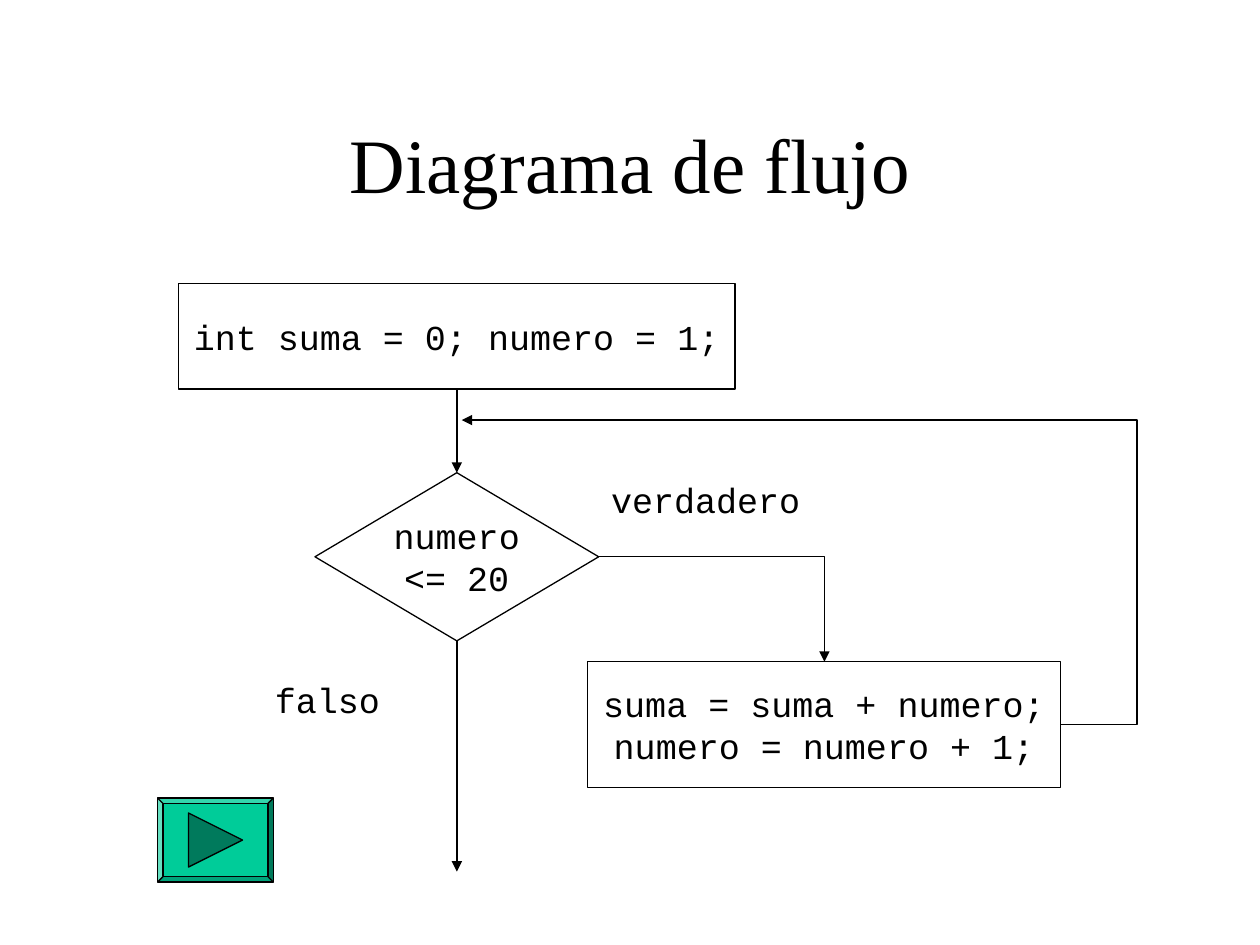
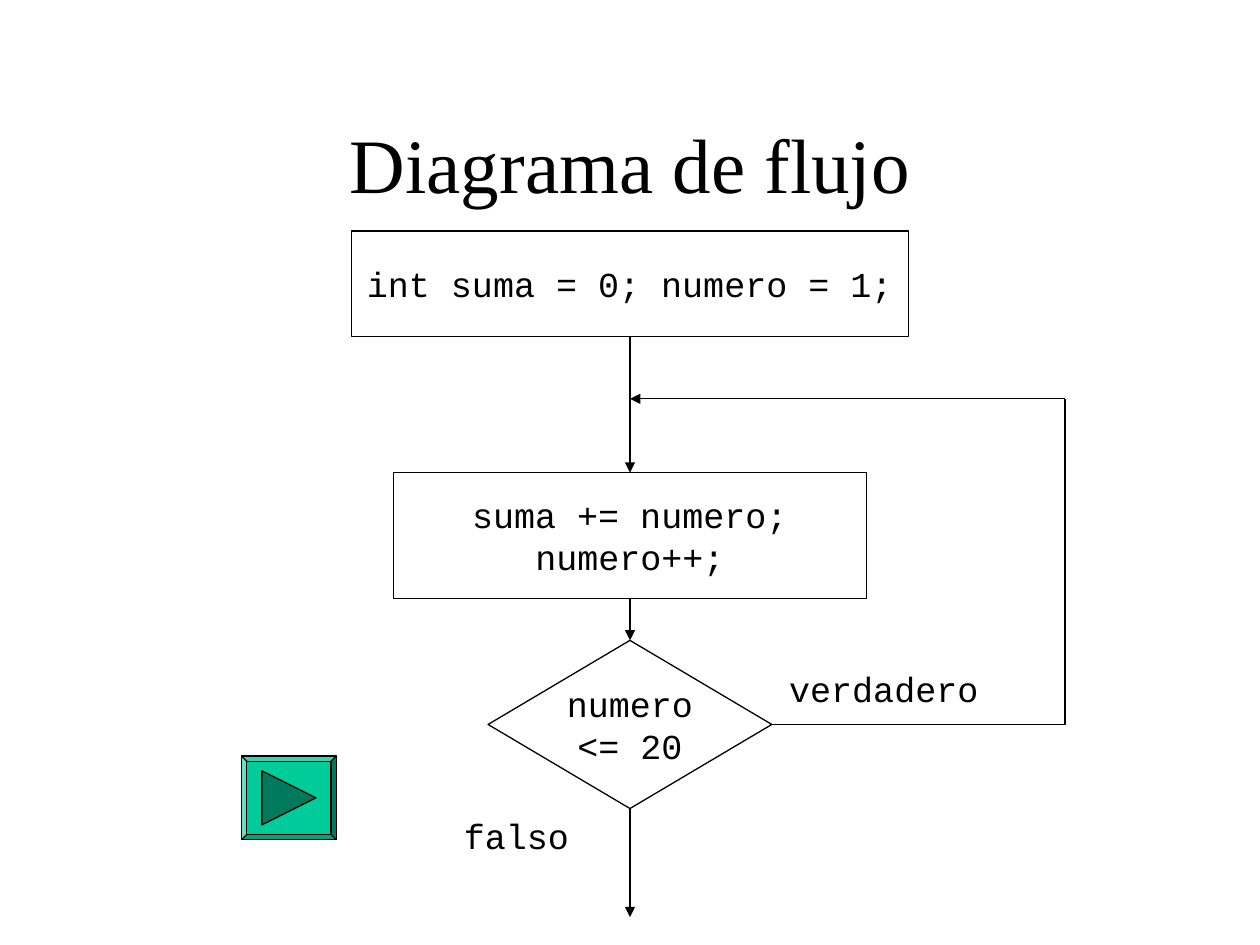
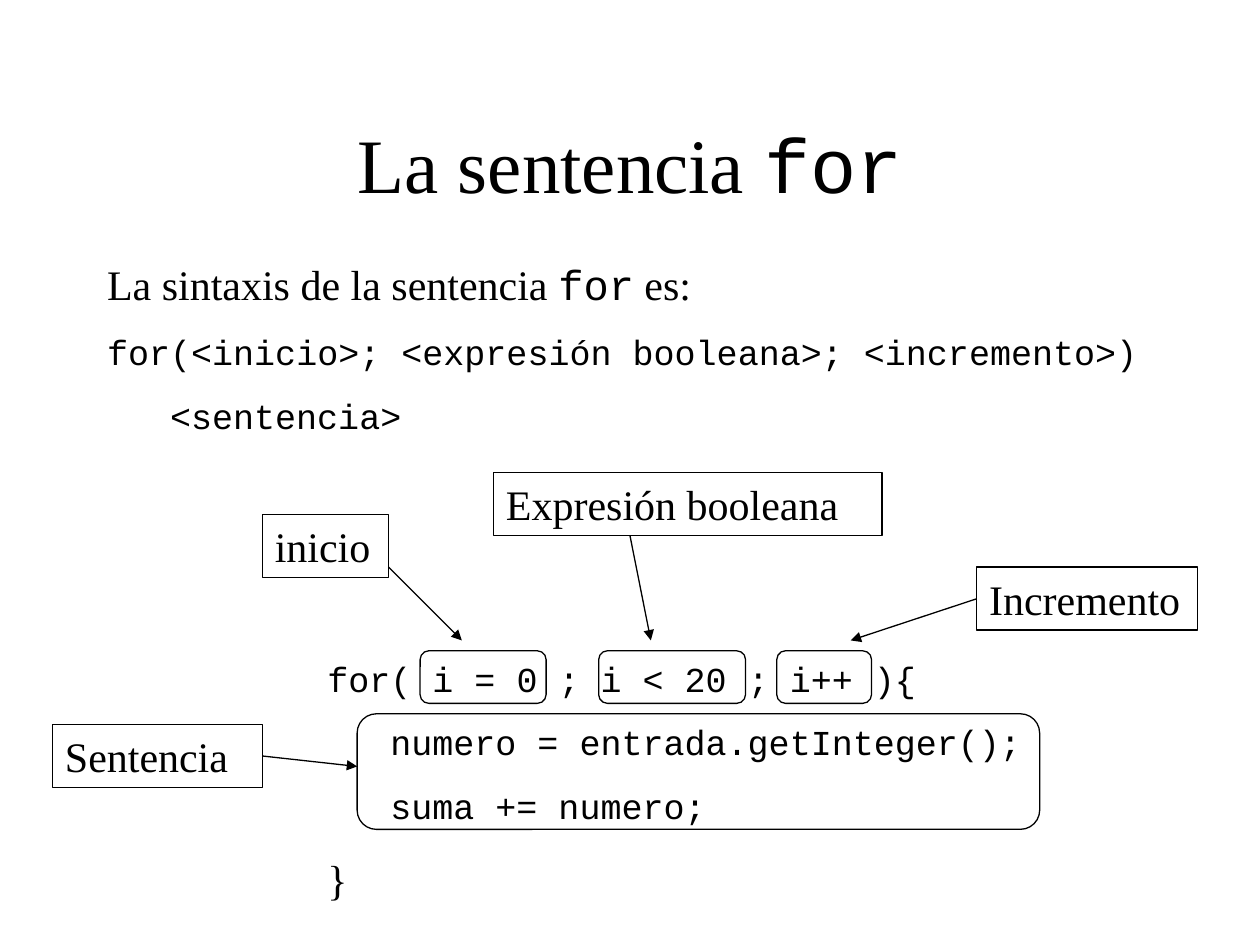
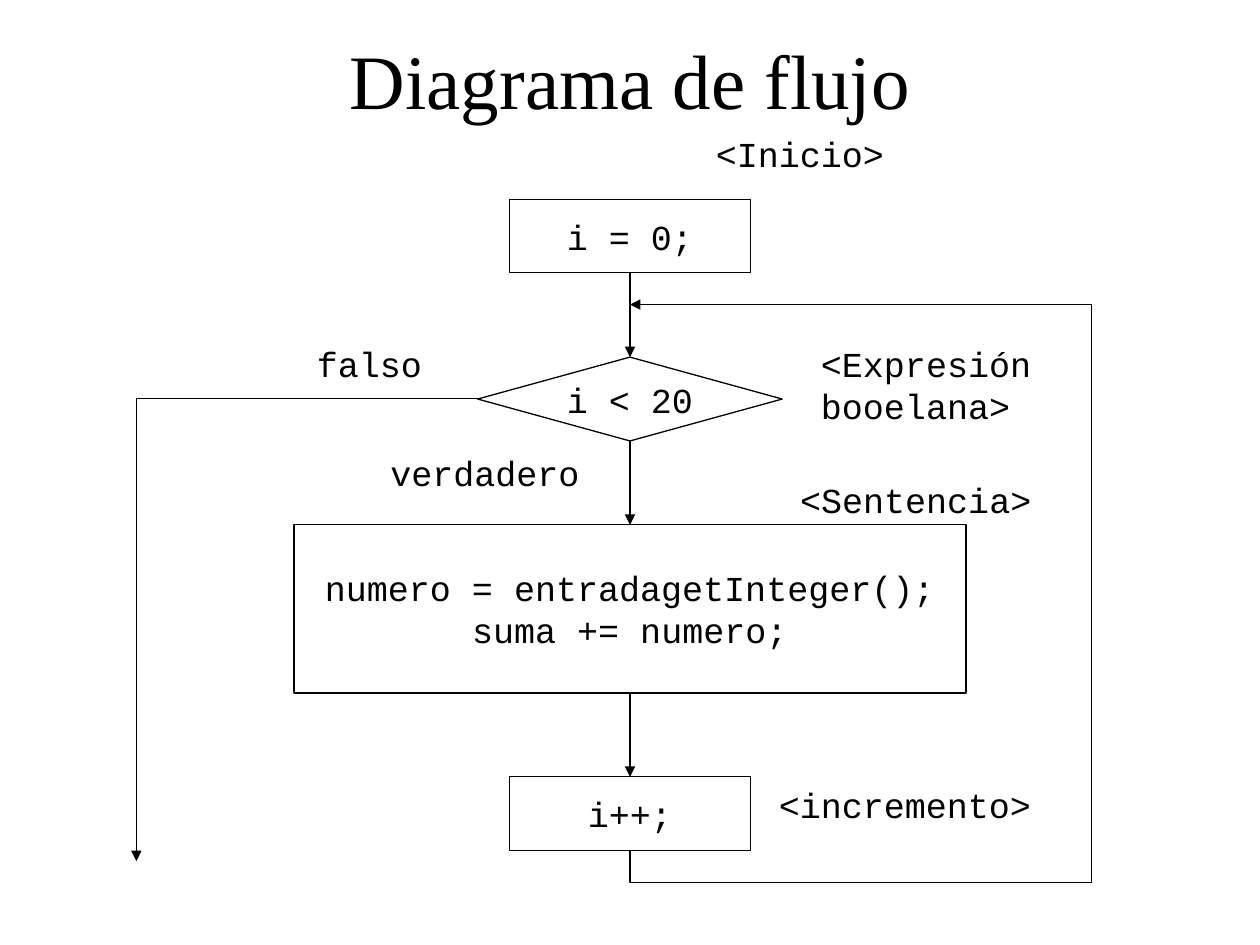
from lxml.etree import SubElement
from pptx import Presentation
from pptx.dml.color import RGBColor
from pptx.enum.shapes import MSO_CONNECTOR as CONN, MSO_SHAPE as SHAPE
from pptx.enum.text import MSO_ANCHOR as ANCHOR, MSO_AUTO_SIZE as AUTO, PP_ALIGN as ALIGN
from pptx.oxml.ns import qn
from pptx.util import Cm, Pt

COLORS = {name: RGBColor.from_string(value) for name, value in {
    "ink": "000000", "button": "00CC99", "button_arrow": "007A5C"}.items()}
SERIF, MONO = "Times New Roman", "Courier New"
STYLES = {"prose": (SERIF, 24), "code": (MONO, 20)}
LINE_W = Pt(0.75)
SPACE_BEFORE = 0.625  # share of the font size
FLOW = (SHAPE.FLOWCHART_PROCESS, SHAPE.FLOWCHART_DECISION)
PROCESS, DECISION = FLOW
MID = 12.7
LABEL_H = 1.12
CODE_INDENT = Cm(1.27)


def add_box(slide, kind, x, y, w, h, lines=(), style="code"):
    """Add an outlined shape, or a plain text box when kind is None."""
    place = Cm(x), Cm(y), Cm(w), Cm(h)
    if kind is None:
        sp = slide.shapes.add_textbox(*place)
    else:
        sp = slide.shapes.add_shape(kind, *place)
        sp.shadow.inherit = False
        sp.fill.background()
        sp.line.color.rgb = COLORS["ink"]
        sp.line.width = LINE_W
    flow = kind in FLOW
    font, size = STYLES[style]
    tf = sp.text_frame
    tf.word_wrap = not flow
    tf.vertical_anchor = ANCHOR.MIDDLE if flow else ANCHOR.TOP
    for i, line in enumerate(lines):
        p = tf.add_paragraph() if i else tf.paragraphs[0]
        p.text = line
        p.alignment = ALIGN.CENTER if flow else ALIGN.LEFT
        p.space_before = Pt(0 if flow else size * SPACE_BEFORE)
        p.font.name, p.font.size = font, Pt(size)
        p.font.color.rgb = COLORS["ink"]
    return sp


def add_line(slide, x1, y1, x2, y2, bend=None, adj=None, turned=False, arrow=True):
    """Add a line; bend is the elbow preset, turned makes it leave vertically."""
    if turned:
        cx, cy, dx, dy = (x1 + x2) / 2, (y1 + y2) / 2, (x2 - x1) / 2, (y2 - y1) / 2
        x1, y1, x2, y2 = cx - dy, cy + dx, cx + dy, cy - dx
    cxn = slide.shapes.add_connector(CONN.ELBOW if bend else CONN.STRAIGHT,
                                     Cm(x1), Cm(y1), Cm(x2), Cm(y2))
    cxn.line.color.rgb = COLORS["ink"]
    cxn.line.width = LINE_W
    sp_pr = cxn._element.spPr
    geom = sp_pr.find(qn("a:prstGeom"))
    if bend:
        geom.set("prst", bend)
    if adj is not None:
        SubElement(geom.find(qn("a:avLst")), qn("a:gd"), name="adj1", fmla=f"val {adj}")
    if turned:
        sp_pr.find(qn("a:xfrm")).set("rot", "5400000")
    if arrow:
        SubElement(sp_pr.find(qn("a:ln")), qn("a:tailEnd"), type="triangle")
    SubElement(sp_pr, qn("a:effectLst"))


prs = Presentation()
prs.slide_width, prs.slide_height = Cm(25.4), Cm(19.05)

# Titles: each is a list of (text, font) runs
flow_title = [("Diagrama de flujo", SERIF)]
for_title = [("La sentencia ", SERIF), ("for", MONO)]
slides = []
for runs, top in [(flow_title, 1.69), (flow_title, 1.69), (for_title, 1.69), (flow_title, 0)]:
    slide = prs.slides.add_slide(prs.slide_layouts[5])
    title = slide.shapes.title
    title.left, title.top, title.width, title.height = Cm(1.91), Cm(top), Cm(21.59), Cm(3.18)
    tf = title.text_frame
    tf.word_wrap, tf.auto_size, tf.vertical_anchor = True, AUTO.NONE, ANCHOR.MIDDLE
    p = tf.paragraphs[0]
    p.alignment = ALIGN.CENTER
    p.font.size = Pt(44)
    p.font.color.rgb = COLORS["ink"]
    for text, font in runs:
        r = p.add_run()
        r.text, r.font.name = text, font
    slides.append(slide)
while_slide, do_slide, syntax_slide, for_slide = slides

# Flowchart of the loop that tests first
for kind, x, y, w, h, lines in [
    (DECISION, 6.35, 9.53, 5.72, 3.39, ["numero", "<= 20"]),
    (PROCESS, 11.85, 13.34, 9.53, 2.54, ["suma = suma + numero;", "numero = numero + 1;"]),
    (PROCESS, 3.6, 5.72, 11.22, 2.12, ["int suma = 0; numero = 1;"]),
]:
    add_box(while_slide, kind, x, y, w, h, lines)
add_line(while_slide, 9.21, 7.83, 9.21, 9.53)
add_line(while_slide, 12.07, 11.22, 16.62, 13.34, "bentConnector2")
add_line(while_slide, 21.38, 14.61, 9.31, 8.47, "bentConnector3", adj=-12800)
add_line(while_slide, 9.21, 12.91, 9.21, 17.57)

# Flowchart of the loop that tests last
for kind, y, w, h, lines in [
    (DECISION, 12.91, 5.72, 3.39, ["numero", "<= 20"]),
    (PROCESS, 9.53, 9.53, 2.54, ["suma += numero;", "numero++;"]),
    (PROCESS, 4.66, 11.22, 2.12, ["int suma = 0; numero = 1;"]),
]:
    add_box(do_slide, kind, MID - w / 2, y, w, h, lines)
for y1, y2 in [(6.77, 9.53), (12.07, 12.91), (16.3, 18.49)]:
    add_line(do_slide, MID, y1, MID, y2)
add_line(do_slide, 15.56, 14.61, 21.47, 8.04, "bentConnector2", arrow=False)
add_line(do_slide, 21.47, 8.04, MID, 8.04)

# Buttons to go on
for slide, x, y, w in [(while_slide, 3.18, 16.09, 2.33), (do_slide, 4.87, 15.24, 1.91)]:
    h, side = 1.69, 1.09
    button = add_box(slide, SHAPE.BEVEL, x, y, w, h)
    button.adjustments[0] = 0.0625
    button.fill.solid()
    button.fill.fore_color.rgb = COLORS["button"]
    left, top = x + (w - side) / 2, y + (h - side) / 2
    fb = slide.shapes.build_freeform(Cm(left), Cm(top))
    fb.add_line_segments([(Cm(left + side), Cm(top + side / 2)), (Cm(left), Cm(top + side))])
    triangle = fb.convert_to_shape()
    triangle.shadow.inherit = False
    triangle.fill.solid()
    triangle.fill.fore_color.rgb = COLORS["button_arrow"]
    triangle.line.color.rgb = COLORS["ink"]
    triangle.line.width = LINE_W

# Syntax of the for statement
intro = add_box(syntax_slide, None, 1.91, 5.08, 22.23, 3.86, [
    "", "for(<inicio>; <expresión booleana>; <incremento>)", "<sentencia>"])
code = add_box(syntax_slide, None, 6.35, 13.12, 15.34, 5.23, [
    "for( i = 0 ; i < 20 ; i++ ){", "numero = entrada.getInteger();", "suma += numero;", "}"])
intro_ps, code_ps = intro.text_frame.paragraphs, code.text_frame.paragraphs
for text, font in [("La sintaxis de la sentencia ", SERIF), ("for", MONO), (" es:", SERIF)]:
    r = intro_ps[0].add_run()
    r.text, r.font.name = text, font
for p in (intro_ps[0], code_ps[-1]):
    p.font.name, p.font.size = SERIF, Pt(24)
    p.space_before = Pt(24 * SPACE_BEFORE)
for p in (intro_ps[2], *code_ps[1:3]):
    p._p.get_or_add_pPr().set("marL", str(CODE_INDENT))

for x, y, w, h in [(7.2, 14.39, 13.76, 2.33), (12.07, 13.12, 2.96, 1.06),
                   (15.66, 13.12, 1.91, 1.06), (8.47, 13.12, 2.54, 1.06)]:
    add_box(syntax_slide, SHAPE.ROUNDED_RECTANGLE, x, y, w, h)
for x, y, w, text in [(5.29, 10.37, 2.54, "inicio"), (9.95, 9.53, 7.83, "Expresión booleana"),
                      (19.69, 11.43, 4.45, "Incremento"), (1.06, 14.61, 4.23, "Sentencia")]:
    add_box(syntax_slide, SHAPE.RECTANGLE, x, y, w, 1.27, [text], "prose")
for ends in [(5.29, 15.24, 7.2, 15.45), (7.83, 11.43, 9.31, 12.91),
             (12.7, 10.8, 13.12, 12.91), (19.69, 12.07, 17.15, 12.91)]:
    add_line(syntax_slide, *ends)

# Flowchart of the for statement
for kind, y, w, h, lines in [
    (PROCESS, 4.02, 4.87, 1.48, ["i = 0;"]),
    (DECISION, 7.2, 6.14, 1.69, ["i < 20"]),
    (PROCESS, 10.58, 13.55, 3.39, ["numero = entradagetInteger();", "suma += numero;"]),
    (PROCESS, 15.66, 4.87, 1.48, ["i++;"]),
]:
    add_box(for_slide, kind, MID - w / 2, y, w, h, lines)
for y1, y2 in [(5.5, 7.2), (8.89, 10.58), (13.97, 15.66)]:
    add_line(for_slide, MID, y1, MID, y2)
add_line(for_slide, MID, 17.15, 22.01, 6.14, "bentConnector3", adj=-5800, turned=True, arrow=False)
add_line(for_slide, 22.01, 6.14, MID, 6.14)
add_line(for_slide, 9.63, 8.04, 2.75, 17.36, "bentConnector2")

# Labels beside the flowcharts
for slide, x, y, w, h, text in [
    (while_slide, 12.07, 9.53, 5.08, LABEL_H, "verdadero"),
    (while_slide, 5.29, 13.55, 5.08, LABEL_H, "falso"),
    (do_slide, 15.66, 13.34, 5.08, LABEL_H, "verdadero"),
    (do_slide, 9.1, 16.3, 5.08, LABEL_H, "falso"),
    (for_slide, 7.62, 8.97, 5.08, LABEL_H, "verdadero"),
    (for_slide, 6.14, 6.77, 5.08, LABEL_H, "falso"),
    (for_slide, 14.18, 2.54, 5.08, LABEL_H, "<Inicio>"),
    (for_slide, 16.3, 6.77, 5.08, 1.96, "<Expresión\vbooelana>"),
    (for_slide, 15.88, 9.53, 5.93, LABEL_H, "<Sentencia>"),
    (for_slide, 15.45, 15.66, 6.56, LABEL_H, "<incremento>"),
]:
    add_box(slide, None, x, y, w, h, [text])

prs.save("out.pptx")
